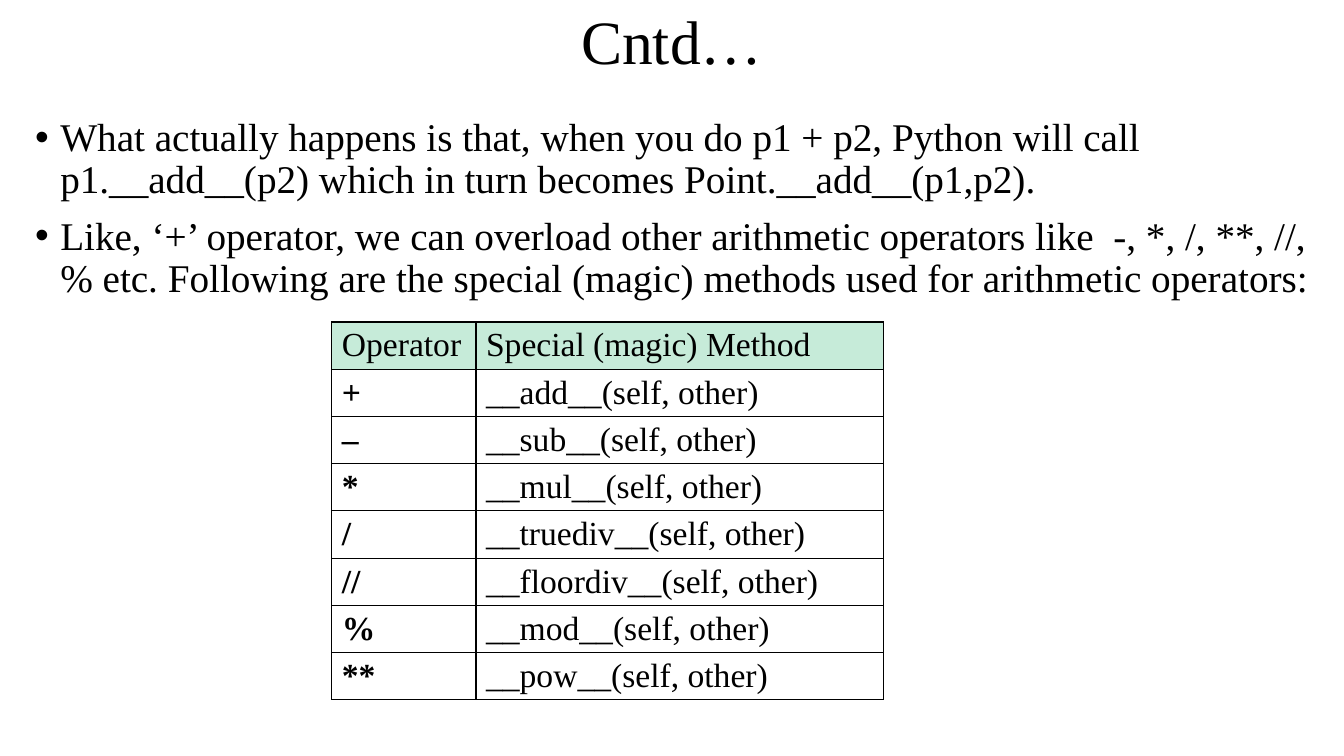
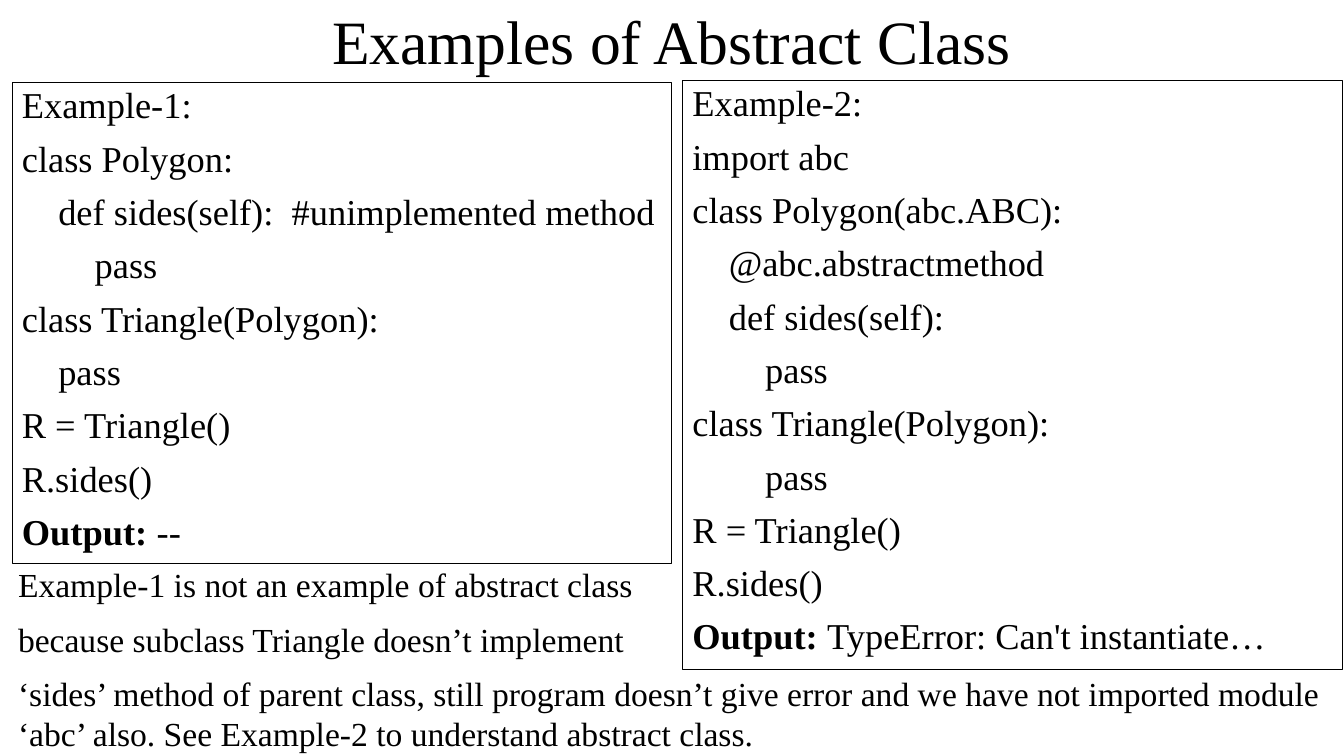
from pptx import Presentation
from pptx.dml.color import RGBColor
from pptx.enum.shapes import MSO_SHAPE as Shape
from pptx.enum.text import MSO_ANCHOR as Anchor, PP_ALIGN as Align
from pptx.oxml.ns import qn
from pptx.util import Pt
from lxml.etree import SubElement

# Shared style
FONT = "Times New Roman"
INK = "000000"
HEADER_FILL = "C6EBD9"
CODE_INDENT = 26
BULLET_INDENT = 18

OPERATORS = [("+", "add"), ("–", "sub"), ("*", "mul"), ("/", "truediv"),
             ("//", "floordiv"), ("%", "mod"), ("**", "pow")]

OVERLOADING = [
    "What actually happens is that, when you do p1 + p2, Python will call "
    "p1.__add__(p2) which in turn becomes Point.__add__(p1,p2).",
    "Like, ‘+’ operator, we can overload other arithmetic operators like  "
    "-, *, /, **, //, % etc. Following are the special (magic) methods used "
    "for arithmetic operators:",
]

# Code lines: indent level and text
PLAIN_CLASS = [
    (0, "Example-1:"), (0, "class Polygon:"),
    (1, "def sides(self):  #unimplemented method"), (2, "pass"),
    (0, "class Triangle(Polygon):"), (1, "pass"),
    (0, "R = Triangle()"), (0, "R.sides()"),
]
ABSTRACT_CLASS = [
    (0, "Example-2:"), (0, "import abc"), (0, "class Polygon(abc.ABC):"),
    (1, "@abc.abstractmethod"), (1, "def sides(self):"), (2, "pass"),
    (0, "class Triangle(Polygon):"), (2, "pass"),
    (0, "R = Triangle()"), (0, "R.sides()"),
]

EXPLANATION = [
    "Example-1 is not an example of abstract class",
    "because subclass Triangle doesn’t implement",
    "‘sides’ method of parent class, still program doesn’t give error and we "
    "have not imported module ‘abc’ also. See Example-2 to understand "
    "abstract class.",
]


def color(hex_code):
    return RGBColor.from_string(hex_code)


def write(paragraph, text, size=24, bold=False, align=Align.LEFT,
          spacing=1.0, before=0, indent=0, bullet=False):
    """Add a run to a paragraph and set the paragraph's format."""
    run = paragraph.add_run()
    run.text = text
    run.font.name, run.font.size, run.font.bold = FONT, Pt(size), bold
    run.font.color.rgb = color(INK)
    paragraph.alignment = align
    paragraph.line_spacing = spacing
    paragraph.space_before = Pt(before)
    properties = paragraph._p.get_or_add_pPr()
    properties.set("marL", str(Pt(indent)))
    properties.set("indent", str(Pt(-indent if bullet else 0)))
    if bullet:
        SubElement(properties, qn("a:buFont"), typeface="Arial")
        SubElement(properties, qn("a:buChar"), char="•")


def next_paragraph(frame):
    first = frame.paragraphs[0]
    return frame.add_paragraph() if first.runs else first


def add_text(slide, box, lines, anchor=Anchor.TOP, **style):
    frame = slide.shapes.add_textbox(*map(Pt, box)).text_frame
    frame.word_wrap = True
    frame.vertical_anchor = anchor
    for line in lines:
        write(next_paragraph(frame), line, **style)


def add_title(slide, title):
    add_text(slide, (66, 2, 828, 59), [title], Anchor.MIDDLE,
             size=44, align=Align.CENTER, spacing=0.9)


def add_example(slide, box, code, output):
    """Draw a framed code listing that ends with its output."""
    listing = slide.shapes.add_shape(Shape.RECTANGLE, *map(Pt, box))
    listing.shadow.inherit = False
    listing.fill.background()
    listing.line.color.rgb = color(INK)
    listing.line.width = Pt(0.25)
    frame = listing.text_frame
    frame.word_wrap = True
    frame.vertical_anchor = Anchor.TOP
    style = dict(size=26, spacing=0.9, before=10)
    for level, line in code:
        write(next_paragraph(frame), line, indent=level * CODE_INDENT, **style)
    result = next_paragraph(frame)
    write(result, "Output: ", bold=True, **style)
    write(result, output, **style)


def add_borders(cell):
    properties = cell._tc.get_or_add_tcPr()
    for side in ("a:lnL", "a:lnR", "a:lnT", "a:lnB"):
        border = SubElement(properties, qn(side), w=str(Pt(1)))
        solid = SubElement(border, qn("a:solidFill"))
        SubElement(solid, qn("a:srgbClr"), val=INK)


def add_operator_table(slide, left, top, widths, row_height):
    rows = [("Operator", "Special (magic) Method")]
    rows += [(sign, f"__{name}__(self, other)") for sign, name in OPERATORS]
    table = slide.shapes.add_table(
        len(rows), len(widths), Pt(left), Pt(top),
        Pt(sum(widths)), Pt(row_height * len(rows))).table
    table.first_row = table.horz_banding = False
    for column, width in zip(table.columns, widths):
        column.width = Pt(width)
    for r, row in enumerate(rows):
        table.rows[r].height = Pt(row_height)
        for c, text in enumerate(row):
            cell = table.cell(r, c)
            cell.vertical_anchor = Anchor.MIDDLE
            cell.margin_top = cell.margin_bottom = Pt(2)
            add_borders(cell)
            if r == 0:
                cell.fill.solid()
                cell.fill.fore_color.rgb = color(HEADER_FILL)
            else:
                cell.fill.background()
            write(cell.text_frame.paragraphs[0], text, bold=r > 0 and c == 0)


def main():
    deck = Presentation()
    deck.slide_width, deck.slide_height = Pt(960), Pt(540)
    blank = deck.slide_layouts[6]

    # Operator overloading
    operators = deck.slides.add_slide(blank)
    add_title(operators, "Cntd…")
    add_text(operators, (18, 80.6, 931, 441), OVERLOADING, size=28,
             spacing=0.9, before=10, indent=BULLET_INDENT, bullet=True)
    add_operator_table(operators, 237, 230, (103, 291), 33.75)

    # Abstract classes
    abstract = deck.slides.add_slide(blank)
    add_title(abstract, "Examples of Abstract Class")
    add_text(abstract, (5.8, 399.6, 950, 130), EXPLANATION, before=10)
    add_example(abstract, (8.6, 59, 471, 343.5), PLAIN_CLASS, "--")
    add_example(abstract, (487.5, 57.6, 471.5, 420.5), ABSTRACT_CLASS,
                "TypeError: Can't instantiate…")

    deck.save("out.pptx")


main()
